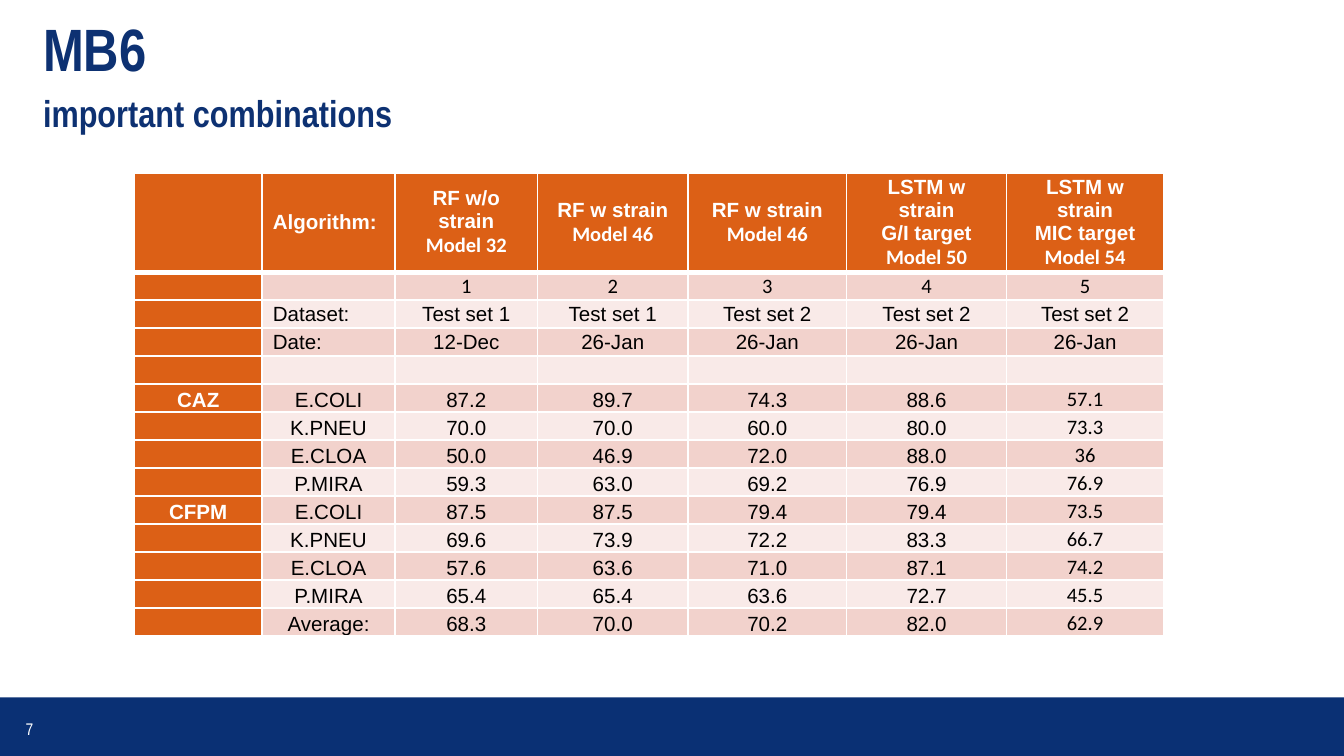
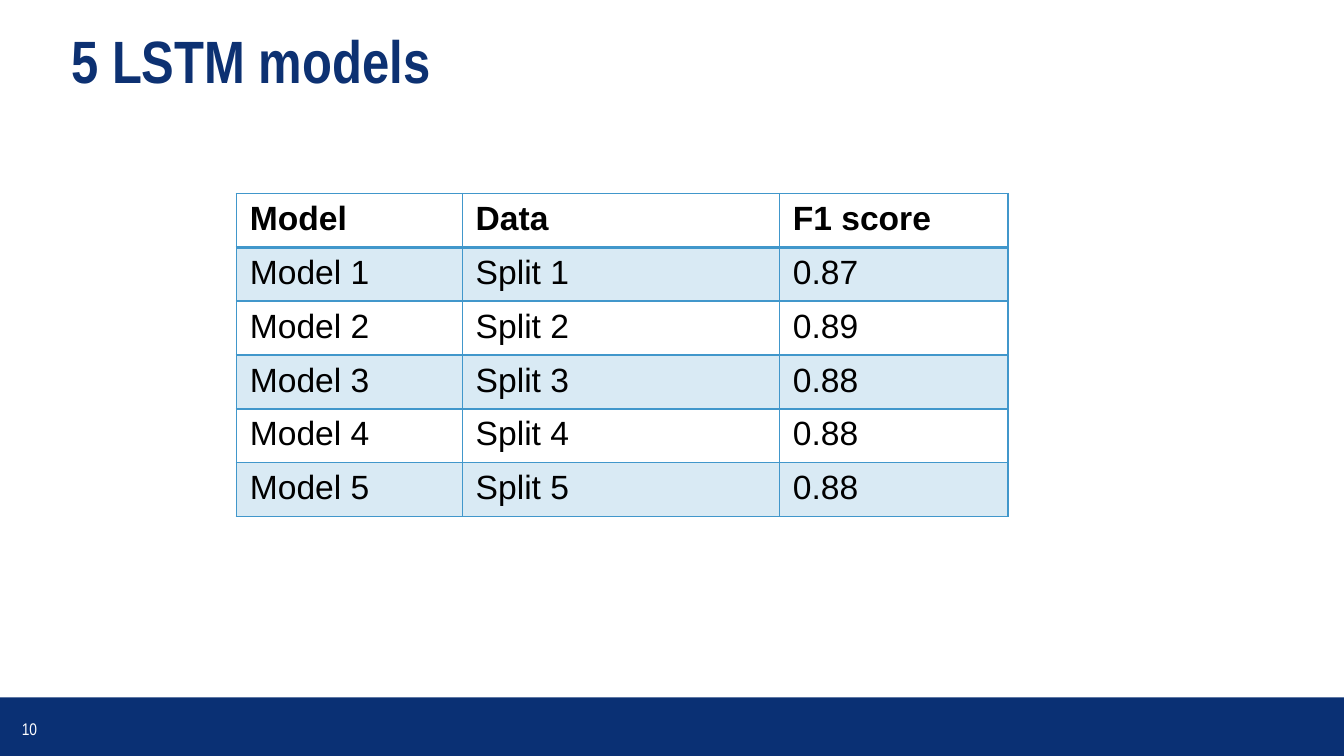
from dataclasses import dataclass
from typing import Callable, NamedTuple

from lxml import etree
from pptx import Presentation, util as u
from pptx.dml.color import RGBColor
from pptx.enum import shapes, text
from pptx.oxml import ns

Align, Anchor = text.PP_ALIGN, text.MSO_ANCHOR


@dataclass(frozen=True)
class Theme:
    navy: str = "0A3074"
    title: str = "0D3172"
    white: str = "FFFFFF"
    black: str = "000000"
    orange: str = "DC6016"
    rose: str = "F2D2CC"
    blush: str = "F9EAE8"
    blue: str = "4197CB"
    narrow: str = "Arial Narrow"
    sans: str = "Arial"
    body: str = "Calibri"
    head: int = 32
    sub: int = 20
    large: int = 18
    small: int = 11
    page: int = 9
    lead: int = 28


T = Theme()


class Line(NamedTuple):
    text: str
    size: int | None = None
    font: str | None = None


class Look(NamedTuple):
    """Format of one table cell."""
    size: int
    color: str = T.black
    font: str = T.sans
    bold: bool = False
    align: Align = Align.LEFT
    anchor: Anchor = Anchor.TOP
    fill: str | None = None
    alpha: int = 100


@dataclass(frozen=True)
class Grid:
    left: float
    top: float
    widths: list[float]
    heights: list[float]
    rows: list[list[str]]
    look: Callable[[int, int], Look]
    rule: str
    thick: int
    inset: tuple[float, float]


def put(frame, lines: list[Line], *, size: int, font: str, color: str,
        bold: bool = False, align: Align = Align.LEFT, lead: int | None = None) -> None:
    """Write one paragraph per line."""
    for i, line in enumerate(lines):
        para = frame.add_paragraph() if i else frame.paragraphs[0]
        para.alignment = align
        if lead:
            para.line_spacing = u.Pt(lead)
        if not line.text:
            end = etree.SubElement(para._p, ns.qn("a:endParaRPr"))
            end.set("sz", str(size * 100))
            continue
        run = para.add_run()
        run.text = line.text
        run.font.size = u.Pt(line.size or size)
        run.font.name = line.font or font
        run.font.bold = bold
        run.font.color.rgb = RGBColor.from_string(color)


def edge(cell, side: str, color: str, width: int) -> None:
    props = cell._tc.get_or_add_tcPr()
    line = etree.SubElement(props, ns.qn(f"a:ln{side}"), w=str(u.Pt(width)))
    fill = etree.SubElement(line, ns.qn("a:solidFill"))
    etree.SubElement(fill, ns.qn("a:srgbClr"), val=color)


def paint(cell, look: Look) -> None:
    if not look.fill:
        cell.fill.background()
        return
    cell.fill.solid()
    cell.fill.fore_color.rgb = RGBColor.from_string(look.fill)
    if look.alpha < 100:
        color = cell._tc.tcPr.find(ns.qn("a:solidFill")).find(ns.qn("a:srgbClr"))
        etree.SubElement(color, ns.qn("a:alpha"), val=str(look.alpha * 1000))


def draw(slide, grid: Grid) -> None:
    table = slide.shapes.add_table(
        len(grid.rows), len(grid.widths), u.Inches(grid.left), u.Inches(grid.top),
        u.Inches(sum(grid.widths)), u.Inches(sum(grid.heights))).table
    table.first_row = table.horz_banding = False
    for col, width in zip(table.columns, grid.widths):
        col.width = u.Inches(width)
    for row, height in zip(table.rows, grid.heights):
        row.height = u.Inches(height)
    for r, row in enumerate(grid.rows):
        for c, value in enumerate(row):
            cell, look = table.cell(r, c), grid.look(r, c)
            cell.margin_left = cell.margin_right = u.Inches(grid.inset[0])
            cell.margin_top = cell.margin_bottom = u.Inches(grid.inset[1])
            cell.vertical_anchor = look.anchor
            lines = [Line(part) for part in value.split("\n")]
            if len(lines) > 1:
                lines[-1] = lines[-1]._replace(font=T.body)
            put(cell.text_frame, lines, size=look.size, font=look.font,
                color=look.color, bold=look.bold, align=look.align)
            for side in "LRTB":
                heavy = (r, side) in ((0, "B"), (1, "T"))
                edge(cell, side, grid.rule, grid.thick if heavy else 1)
            paint(cell, look)


def start(deck, page: int, lines: list[Line], box: tuple[float, ...]):
    """Add a slide with its title, footer band and page number."""
    slide = deck.slides.add_slide(deck.slide_layouts[5])
    title = slide.shapes.title
    title.left, title.top, title.width, title.height = map(u.Inches, box)
    frame = title.text_frame
    frame.auto_size = text.MSO_AUTO_SIZE.NONE
    frame.vertical_anchor = Anchor.TOP
    put(frame, lines, size=T.head, font=T.narrow, color=T.title, bold=True, lead=T.lead)

    band = slide.shapes.add_shape(shapes.MSO_SHAPE.RECTANGLE, u.Inches(0), u.Inches(5.19),
                                  u.Inches(10.02), u.Inches(0.46))
    band.shadow.inherit = False
    band.fill.solid()
    band.fill.fore_color.rgb = RGBColor.from_string(T.navy)
    band.line.fill.background()

    label = slide.shapes.add_textbox(u.Inches(0), u.Inches(5.22), u.Inches(0.44), u.Inches(0.4))
    label.text_frame.word_wrap = True
    label.text_frame.vertical_anchor = Anchor.MIDDLE
    put(label.text_frame, [Line(str(page))], size=T.page, font=T.narrow,
        color=T.white, align=Align.CENTER)
    return slide


def strain_look(r: int, c: int) -> Look:
    head = r == 0 or c == 0
    plain = r == 1 or (c == 6 and r > 4)
    return Look(
        size=T.small,
        color=T.white if head else T.black,
        font=T.body if plain else T.sans,
        bold=head,
        align=Align.LEFT if c == 1 and r < 5 else Align.CENTER,
        anchor=Anchor.BOTTOM if r > 4 else Anchor.MIDDLE,
        fill=T.orange if head else T.rose if r % 2 else T.blush)


def model_look(r: int, c: int) -> Look:
    return Look(size=T.large, bold=r == 0, fill=T.blue if r % 2 else None, alpha=20)


STRAINS = Grid(
    left=1, top=1.29,
    widths=[0.95, 0.99, 1.06, 1.12, 1.18, 1.19, 1.17],
    heights=[0.72] + [2.71 / 13] * 13,
    rows=[
        ["", "Algorithm:", "RF w/o strain\nModel 32", "RF w strain\nModel 46",
         "RF w strain\nModel 46", "LSTM w strain\nG/I target\nModel 50",
         "LSTM w strain\nMIC target\nModel 54"],
        ["", "", "1", "2", "3", "4", "5"],
        ["", "Dataset:"] + ["Test set 1"] * 2 + ["Test set 2"] * 3,
        ["", "Date:", "12-Dec"] + ["26-Jan"] * 4,
        [""] * 7,
        ["CAZ", "E.COLI", "87.2", "89.7", "74.3", "88.6", "57.1"],
        ["", "K.PNEU", "70.0", "70.0", "60.0", "80.0", "73.3"],
        ["", "E.CLOA", "50.0", "46.9", "72.0", "88.0", "36"],
        ["", "P.MIRA", "59.3", "63.0", "69.2", "76.9", "76.9"],
        ["CFPM", "E.COLI", "87.5", "87.5", "79.4", "79.4", "73.5"],
        ["", "K.PNEU", "69.6", "73.9", "72.2", "83.3", "66.7"],
        ["", "E.CLOA", "57.6", "63.6", "71.0", "87.1", "74.2"],
        ["", "P.MIRA", "65.4", "65.4", "63.6", "72.7", "45.5"],
        ["", "Average:", "68.3", "70.0", "70.2", "82.0", "62.9"],
    ],
    look=strain_look, rule=T.white, thick=3, inset=(0.08, 0))

SCORES = ["0.87", "0.89", "0.88", "0.88", "0.88"]
MODELS = Grid(
    left=1.76, top=1.44, widths=[1.68, 2.36, 1.7], heights=[0.4] * 6,
    rows=[["Model", "Data", "F1 score"]]
    + [[f"Model {n}", f"Split {n}", score] for n, score in enumerate(SCORES, 1)],
    look=model_look, rule=T.blue, thick=2, inset=(0.1, 0.05))


def main() -> None:
    deck = Presentation()
    deck.slide_width = u.Inches(10)
    deck.slide_height = deck.slide_width * 9 // 16
    lines = [Line("MB6"), Line("important combinations", size=T.sub)]
    draw(start(deck, 7, lines, (0.22, 0.18, 6.74, 0.73)), STRAINS)
    draw(start(deck, 10, [Line("5 LSTM models")], (0.43, 0.27, 9.36, 0.54)), MODELS)
    deck.save("out.pptx")


if __name__ == "__main__":
    main()
